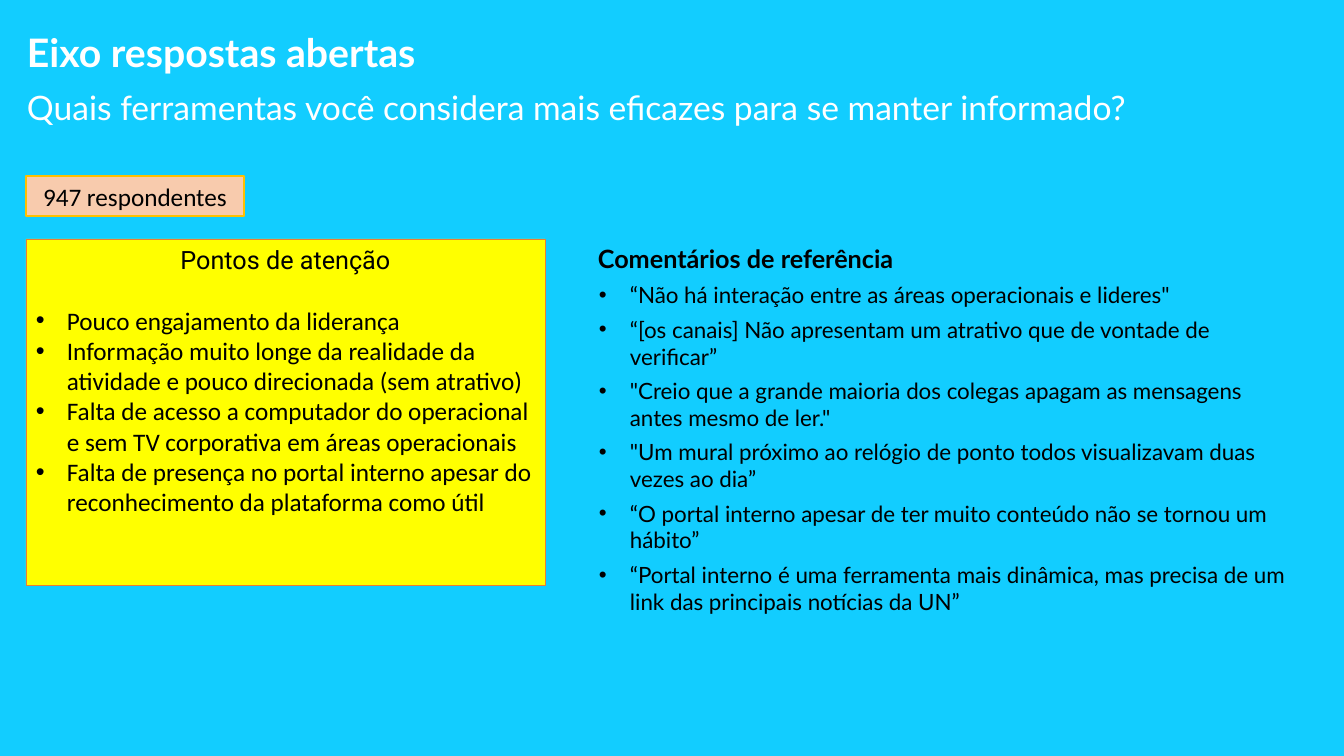
from lxml import etree
from pptx import Presentation
from pptx import util as u
from pptx.dml.color import RGBColor
from pptx.enum import shapes, text
from pptx.oxml.ns import qn

PX = 914400 / 100.8
BLACK, WHITE = "000000", "FFFFFF"
POINTS = [
    "Pouco engajamento da liderança",
    "Informação muito longe da realidade da atividade e pouco direcionada (sem atrativo)",
    "Falta de acesso a computador do operacional e sem TV corporativa em áreas operacionais",
    "Falta de presença no portal interno apesar do reconhecimento da plataforma como útil",
]
COMMENTS = [
    "“Não há interação entre as áreas operacionais e lideres\"",
    "“[os canais] Não apresentam um atrativo que de vontade de verificar”",
    "\"Creio que a grande maioria dos colegas apagam as mensagens antes mesmo de ler.\"",
    "\"Um mural próximo ao relógio de ponto todos visualizavam duas vezes ao dia”",
    "“O portal interno apesar de ter muito conteúdo não se tornou um hábito”",
    "“Portal interno é uma ferramenta mais dinâmica, mas precisa de um link das principais notícias da UN”",
]


def px(value):
    return u.Emu(round(value * PX))


def color(value):
    return RGBColor.from_string(value)


def format_font(font, name, size, ink=BLACK, bold=False):
    font.name = name
    font.size = u.Pt(size)
    font.bold = bold
    font.color.rgb = color(ink)


def set_frame(box):
    frame = box.text_frame
    frame.word_wrap = True
    frame.auto_size = text.MSO_AUTO_SIZE.NONE
    frame.vertical_anchor = text.MSO_ANCHOR.TOP
    return frame


def add_panel(page, left, top, width, height, fill, line, weight):
    box = page.shapes.add_shape(
        shapes.MSO_SHAPE.RECTANGLE, px(left), px(top), px(width), px(height))
    box.shadow.inherit = False
    box.fill.solid()
    box.fill.fore_color.rgb = color(fill)
    box.line.color.rgb = color(line)
    box.line.width = u.Pt(weight)
    return set_frame(box)


def write(frame, words, font="Calibri", size=18, bold=False, align="LEFT",
          indent=0, bullet=False, before=0, spacing=None):
    first = frame.paragraphs[0]
    para = frame.add_paragraph() if first.runs else first
    para.alignment = getattr(text.PP_ALIGN, align)
    para.space_before = u.Pt(before)
    if spacing:
        para.line_spacing = u.Pt(spacing)
    props = para._p.get_or_add_pPr()
    props.set("marL", str(px(indent)))
    props.set("indent", str(px(-31 if bullet else 0)))
    if bullet:
        etree.SubElement(props, qn("a:buFont")).set("typeface", "Arial")
        etree.SubElement(props, qn("a:buChar")).set("char", "•")
    span = para.add_run()
    span.text = words
    format_font(span.font, font, size, bold=bold)


def add_title(page, heading, question):
    box = page.shapes.title
    box.left, box.top, box.width, box.height = map(px, (26, 17, 1189, 106))
    frame = set_frame(box)
    frame.margin_left = frame.margin_right = frame.margin_bottom = 0
    frame.margin_top = px(7)
    para = frame.paragraphs[0]
    para.alignment = text.PP_ALIGN.LEFT
    para.line_spacing = u.Pt(37)
    para.space_before = u.Pt(0)
    props = para._p.get_or_add_pPr()
    props.set("marL", str(px(1)))
    props.set("indent", "0")
    span = para.add_run()
    span.text = heading
    format_font(span.font, "Lato", 28, WHITE, True)
    para.add_line_break()
    span = para.add_run()
    span.text = question
    format_font(span.font, "Lato", 24, WHITE)


def add_points(page):
    frame = add_panel(page, 26, 239, 519, 346, "FFFF00", "ED7D31", 0.5)
    write(frame, "Pontos de atenção", font="Roboto", align="CENTER")
    for number, point in enumerate(POINTS):
        write(frame, point, indent=31, bullet=True, before=0 if number else 22)


def add_comments(page):
    box = page.shapes.add_textbox(px(587), px(217), px(712), px(455))
    frame = set_frame(box)
    write(frame, "Comentários de referência", font="Lato", bold=True, indent=1, spacing=37)
    for comment in COMMENTS:
        write(frame, comment, font="Lato", size=16, indent=33, bullet=True, before=5.4)


def main():
    deck = Presentation()
    deck.slide_width, deck.slide_height = px(1344), px(756)
    page = deck.slides.add_slide(deck.slide_layouts.get_by_name("Title Only"))
    page.background.fill.solid()
    page.background.fill.fore_color.rgb = color("12CDFF")
    add_title(page, "Eixo respostas abertas",
              "Quais ferramentas você considera mais eficazes para se manter informado?")
    badge = add_panel(page, 26, 176, 218, 40, "F8CBAD", "FFC000", 1)
    write(badge, "947 respondentes", align="CENTER")
    add_points(page)
    add_comments(page)
    deck.save("out.pptx")


if __name__ == "__main__":
    main()
